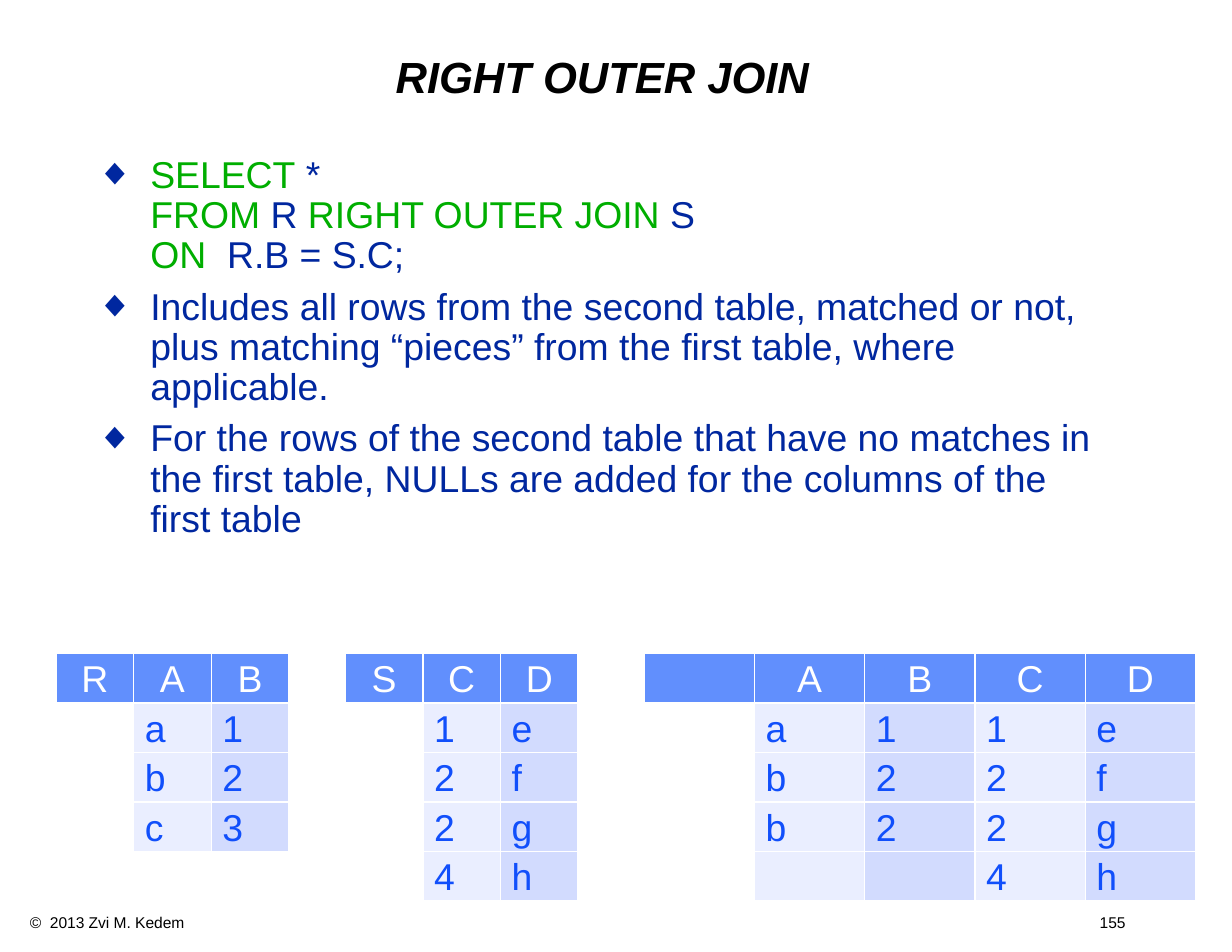
import pptx
import pptx.dml.color
import pptx.enum.text
import pptx.oxml.ns
import pptx.util
from lxml import etree

Cm = pptx.util.Cm
Pt = pptx.util.Pt
RGBColor = pptx.dml.color.RGBColor
PP_ALIGN = pptx.enum.text.PP_ALIGN
MSO_ANCHOR = pptx.enum.text.MSO_ANCHOR

BLACK = RGBColor(0x00, 0x00, 0x00)
WHITE = RGBColor(0xFF, 0xFF, 0xFF)
NAVY = RGBColor(0x00, 0x27, 0x9F)
KEYWORD_GREEN = RGBColor(0x00, 0xAE, 0x00)
HEADER_BLUE = RGBColor(0x61, 0x8F, 0xFD)
VALUE_BLUE = RGBColor(0x11, 0x4F, 0xFB)
LIGHT_BAND = RGBColor(0xEA, 0xEE, 0xFF)
DARK_BAND = RGBColor(0xD2, 0xDB, 0xFE)

TABLE_TOP = Cm(14.82)
ROW_HEIGHT = Cm(1.03)

QUERY = [
    [("SELECT", KEYWORD_GREEN), (" *", NAVY)],
    [("FROM", KEYWORD_GREEN), (" R ", NAVY),
     ("RIGHT OUTER JOIN ", KEYWORD_GREEN), ("S", NAVY)],
    [("ON", KEYWORD_GREEN), ("  R.B = S.C;", NAVY)],
]
EXPLANATIONS = [
    "Includes all rows from the second table, matched or not, plus matching "
    "“pieces” from the first table, where applicable.",
    "For the rows of the second table that have no matches in the first table, "
    "NULLs are added for the columns of the first table",
]
RELATIONS = [
    (Cm(1.27), Cm(1.76), ["RAB", ["", "a", "1"], ["", "b", "2"], ["", "c", "3"]]),
    (Cm(7.83), Cm(1.76), ["SCD", ["", "1", "e"], ["", "2", "f"],
                          ["", "2", "g"], ["", "4", "h"]]),
    (Cm(14.61), Cm(2.5), [["", "A", "B", "C", "D"], ["", "a", "1", "1", "e"],
                          ["", "b", "2", "2", "f"], ["", "b", "2", "2", "g"],
                          ["", "", "", "4", "h"]]),
]


def add_run(paragraph, text, size, color, bold=False, italic=False):
    run = paragraph.add_run()
    run.text = text
    font = run.font
    font.name, font.size = "Arial", Pt(size)
    font.bold, font.italic = bold, italic
    font.color.rgb = color


def add_property(parent, tag, **attributes):
    return etree.SubElement(parent, pptx.oxml.ns.qn(tag), attributes)


def place(placeholder, left, top, width, height, anchor):
    placeholder.left, placeholder.top = left, top
    placeholder.width, placeholder.height = width, height
    frame = placeholder.text_frame
    frame.word_wrap = True
    frame.auto_size = pptx.enum.text.MSO_AUTO_SIZE.NONE
    frame.vertical_anchor = anchor
    frame.margin_left = frame.margin_right = Cm(0.28)
    frame.margin_top = frame.margin_bottom = Cm(0.15)
    return frame


def add_title(slide):
    frame = place(slide.shapes.title, Cm(1.91), Cm(0.64), Cm(23.5), Cm(2.34),
                  MSO_ANCHOR.MIDDLE)
    heading = frame.paragraphs[0]
    heading.alignment = PP_ALIGN.CENTER
    heading.line_spacing = 0.9
    add_run(heading, "RIGHT OUTER JOIN", 28, BLACK, bold=True, italic=True)


def format_bullet(paragraph):
    paragraph.alignment = PP_ALIGN.LEFT
    paragraph.line_spacing = 0.9
    paragraph.space_before = Pt(7)
    properties = paragraph._p.get_or_add_pPr()
    properties.set("marL", str(Cm(1.22)))
    properties.set("indent", str(-Cm(1.22)))
    color = add_property(properties, "a:buClr")
    add_property(color, "a:srgbClr", val=str(NAVY))
    add_property(properties, "a:buSzPct", val="100000")
    add_property(properties, "a:buFont", typeface="Arial")
    add_property(properties, "a:buChar", char="◆")


def add_bullets(slide):
    frame = place(slide.placeholders[1], Cm(1.91), Cm(3.39), Cm(23.7), Cm(16.93),
                  MSO_ANCHOR.TOP)
    items = [QUERY] + [[[(text, NAVY)]] for text in EXPLANATIONS]
    for index, lines in enumerate(items):
        bullet = frame.add_paragraph() if index else frame.paragraphs[0]
        format_bullet(bullet)
        for number, line in enumerate(lines):
            if number:
                bullet.add_line_break()
            for text, color in line:
                add_run(bullet, text, 24, color)


def add_footer(slide):
    frame = slide.shapes.add_textbox(Cm(0.43), Cm(20.57), Cm(26.26), Cm(0.69)).text_frame
    frame.word_wrap = True
    footer = frame.paragraphs[0]
    tabs = add_property(footer._p.get_or_add_pPr(), "a:tabLst")
    add_property(tabs, "a:tab", pos=str(Cm(24.26)), algn="l")
    add_run(footer, "©  2013 Zvi M. Kedem\t155", 10, BLACK)


def cell_fill(row, column):
    if row == 0:
        return HEADER_BLUE
    if column == 0:
        return WHITE
    return LIGHT_BAND if column % 2 else DARK_BAND


def add_relation(slide, left, column_width, rows):
    column_count = len(rows[0])
    table = slide.shapes.add_table(len(rows), column_count, left, TABLE_TOP,
                                   column_width * column_count,
                                   ROW_HEIGHT * len(rows)).table
    for row, values in enumerate(rows):
        for column, value in enumerate(values):
            cell = table.cell(row, column)
            cell.margin_bottom = Cm(0.05)
            cell.fill.solid()
            cell.fill.fore_color.rgb = cell_fill(row, column)
            if value:
                entry = cell.text_frame.paragraphs[0]
                entry.alignment = PP_ALIGN.LEFT if row else PP_ALIGN.CENTER
                add_run(entry, value, 24, VALUE_BLUE if row else WHITE)


def main():
    presentation = pptx.Presentation()
    presentation.slide_width = Cm(27.94)
    presentation.slide_height = Cm(21.59)
    slide = presentation.slides.add_slide(presentation.slide_layouts[1])
    add_title(slide)
    add_bullets(slide)
    for left, column_width, rows in RELATIONS:
        add_relation(slide, left, column_width, rows)
    add_footer(slide)
    presentation.save("out.pptx")


if __name__ == "__main__":
    main()
